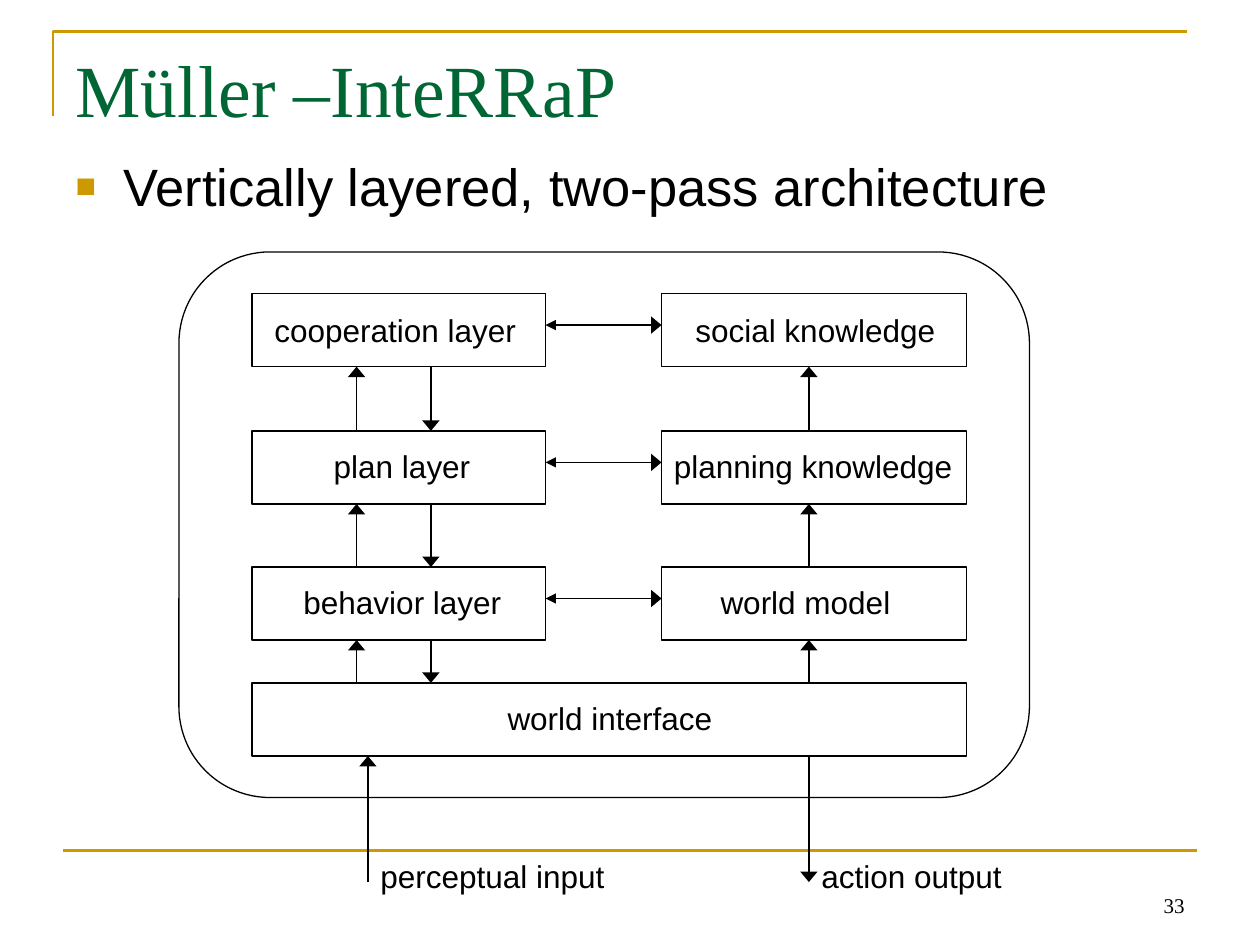
from lxml.etree import SubElement
from pptx import Presentation
from pptx.dml.color import RGBColor
from pptx.enum.shapes import MSO_CONNECTOR as CONN, MSO_SHAPE as SHAPE
from pptx.enum.text import MSO_ANCHOR as ANCHOR, MSO_AUTO_SIZE as AUTO, PP_ALIGN as ALIGN
from pptx.oxml.ns import qn
from pptx.util import Inches, Pt

COLORS = {"gold": "CC9900", "green": "006633", "black": "000000"}
HEAD_WIDTHS = {"headEnd": "med", "tailEnd": "lg"}
ROWS = [2.33, 3.42, 4.5]
INTERFACE_TOP = 5.42
BOX_H = 0.58
LEFT_X, LEFT_W = 2, 2.33
RIGHT_X, RIGHT_W = 5.25, 2.42
UP_X, DOWN_X, KNOWLEDGE_X = 2.83, 3.42, 6.42
LABELS = [
    ("cooperation layer", 2.08, 2.42, 2.2),
    ("plan layer", 2.55, 3.5, 1.35),
    ("behavior layer", 2.31, 4.58, 1.85),
    ("social knowledge", 5.42, 2.42, 2.2),
    ("planning knowledge", 5.25, 3.5, 2.5),
    ("world model", 5.62, 4.58, 1.65),
    ("world interface", 3.93, 5.5, 1.9),
    ("perceptual input", 2.92, 6.75, 2.05),
    ("action output", 6.42, 6.75, 1.7),
]


def rgb(name):
    """Return the named colour."""
    return RGBColor.from_string(COLORS[name])


def place(sp, x, y, w, h):
    """Move and size a shape, in inches."""
    sp.left, sp.top, sp.width, sp.height = (Inches(v) for v in (x, y, w, h))


def set_line(sp, color, width):
    """Give a shape or connector a solid line."""
    sp.line.color.rgb = rgb(color)
    sp.line.width = Pt(width)


def add_run(p, text, size, font="Arial", color="black"):
    """Add one formatted run to a paragraph."""
    r = p.add_run()
    r.text = text
    r.font.size = Pt(size)
    r.font.name = font
    r.font.color.rgb = rgb(color)


def add_line(s, x1, y1, x2, y2, color="black", width=0.75, ends=()):
    """Draw a straight line with triangles at the given ends."""
    c = s.shapes.add_connector(CONN.STRAIGHT, *(Inches(v) for v in (x1, y1, x2, y2)))
    set_line(c, color, width)
    ln = c.line._get_or_add_ln()
    for end in ends:
        SubElement(ln, qn(f"a:{end}"), type="triangle", w=HEAD_WIDTHS[end])
    SubElement(c._element.spPr, qn("a:effectLst"))


def add_arrow(s, x, y1, y2):
    """Draw a vertical arrow from y1 to y2."""
    add_line(s, x, y1, x, y2, ends=["tailEnd"])


def add_box(s, x, y, w, h, kind=SHAPE.RECTANGLE):
    """Draw an unfilled outlined box."""
    sp = s.shapes.add_shape(kind, *(Inches(v) for v in (x, y, w, h)))
    sp.shadow.inherit = False
    sp.fill.background()
    set_line(sp, "black", 0.75)
    return sp


def add_label(s, text, x, y, w):
    """Add a one-line label."""
    tf = s.shapes.add_textbox(*(Inches(v) for v in (x, y, w, 0.4))).text_frame
    tf.word_wrap = True
    add_run(tf.paragraphs[0], text, 18)


def add_frame(s):
    """Draw the gold corner and the footer rule."""
    fb = s.shapes.build_freeform(Inches(0.42), Inches(0.92))
    fb.add_line_segments([(Inches(0.42), Inches(0.25)), (Inches(9.42), Inches(0.25))], close=False)
    sp = fb.convert_to_shape()
    sp.shadow.inherit = False
    sp.fill.background()
    set_line(sp, "gold", 1.5)
    add_line(s, 0.5, 6.75, 9.5, 6.75, "gold", 1.5)


def fill_placeholder(sp, at, text, size, font, color):
    """Place a placeholder and write its top-anchored paragraph."""
    place(sp, *at)
    tf = sp.text_frame
    tf.auto_size = AUTO.NONE
    tf.vertical_anchor = ANCHOR.TOP
    p = tf.paragraphs[0]
    p.alignment = ALIGN.LEFT
    add_run(p, text, size, font, color)
    return p


def add_bullet(p):
    """Give a paragraph a gold square bullet with a hanging indent."""
    p.space_before = Pt(7.5)
    pPr = p._p.get_or_add_pPr()
    pPr.set("marL", str(Inches(0.38)))
    pPr.set("indent", str(Inches(-0.38)))
    SubElement(SubElement(pPr, qn("a:buClr")), qn("a:srgbClr"), val=COLORS["gold"])
    SubElement(pPr, qn("a:buSzPct"), val="65000")
    SubElement(pPr, qn("a:buFont"), typeface="Arial")
    SubElement(pPr, qn("a:buChar"), char="■")


def add_boxes(s):
    """Draw the outer agent boundary and all layer boxes."""
    outer = add_box(s, 1.42, 2, 6.75, 4.33, SHAPE.ROUNDED_RECTANGLE)
    outer.adjustments[0] = 0.167
    add_box(s, LEFT_X, INTERFACE_TOP, RIGHT_X + RIGHT_W - LEFT_X, BOX_H)
    for y in ROWS:
        add_box(s, LEFT_X, y, LEFT_W, BOX_H)
        add_box(s, RIGHT_X, y, RIGHT_W, BOX_H)


def add_arrows(s):
    """Connect the layers, knowledge bases and outside world."""
    add_arrow(s, 2.92, 7, INTERFACE_TOP + BOX_H)
    add_arrow(s, KNOWLEDGE_X, INTERFACE_TOP + BOX_H, 7)
    for y, below in zip(ROWS, ROWS[1:] + [INTERFACE_TOP]):
        bottom = y + BOX_H
        add_arrow(s, UP_X, below, bottom)
        add_arrow(s, DOWN_X, bottom, below)
        add_arrow(s, KNOWLEDGE_X, below, bottom)
        add_line(s, LEFT_X + LEFT_W, y + 0.25, RIGHT_X, y + 0.25, ends=["headEnd", "tailEnd"])


def add_page_number(s, text):
    """Add the page number at the bottom right."""
    tf = s.shapes.add_textbox(*(Inches(v) for v in (7.17, 6.83, 2.33, 0.5))).text_frame
    tf.word_wrap = True
    tf.vertical_anchor = ANCHOR.BOTTOM
    p = tf.paragraphs[0]
    p.alignment = ALIGN.RIGHT
    add_run(p, text, 12, "Times New Roman")


def main():
    """Build and save the slide."""
    prs = Presentation()
    prs.slide_width, prs.slide_height = Inches(10), Inches(7.5)
    s = prs.slides.add_slide(prs.slide_layouts[1])
    add_frame(s)
    fill_placeholder(s.shapes.title, (0.5, 0.3, 9, 1.25), "Müller –InteRRaP",
                     42, "Times New Roman", "green")
    add_bullet(fill_placeholder(s.placeholders[1], (0.5, 1.17, 9, 5.54),
                                "Vertically layered, two-pass architecture",
                                30, "Arial", "black"))
    add_boxes(s)
    for label in LABELS:
        add_label(s, *label)
    add_arrows(s)
    add_page_number(s, "33")
    prs.save("out.pptx")


if __name__ == "__main__":
    main()
